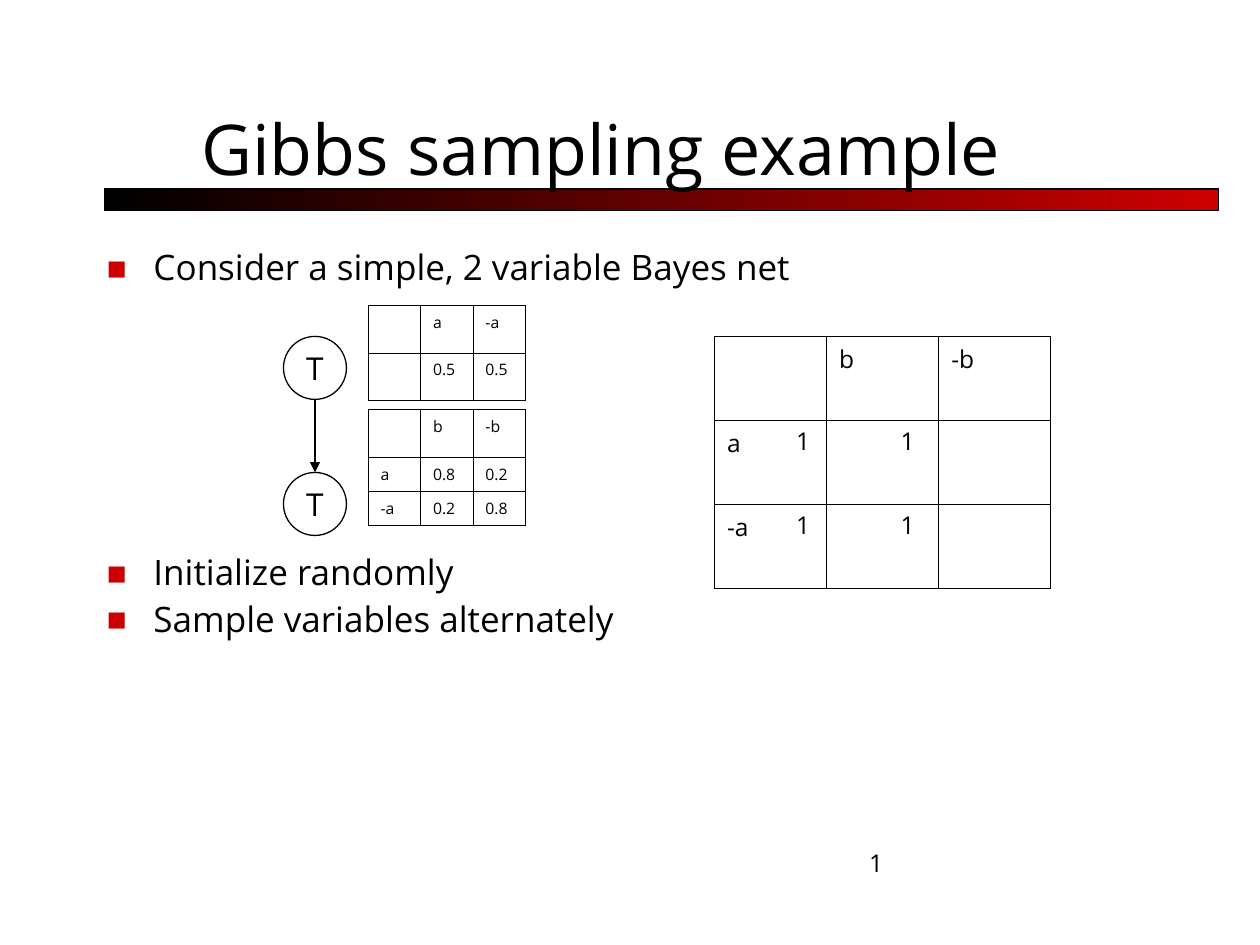
from lxml.etree import SubElement
from pptx import Presentation
from pptx.dml.color import RGBColor
from pptx.enum.shapes import MSO_CONNECTOR, MSO_SHAPE
from pptx.enum.text import MSO_ANCHOR, PP_ALIGN
from pptx.oxml import parse_xml
from pptx.oxml.ns import nsdecls, qn
from pptx.util import Inches, Pt

BLACK = RGBColor(0x00, 0x00, 0x00)
WHITE = RGBColor(0xFF, 0xFF, 0xFF)
RED = RGBColor(0xCC, 0x00, 0x00)


class SlideBuilder:
    font = "Open Sans"
    line_width = Pt(0.75)
    outer_border, inner_border = Pt(0.5), Pt(0.23)

    def __init__(self, slide):
        self.slide = slide

    def style(self, paragraph, size):
        for run in paragraph.runs:
            run.font.name = self.font
            run.font.size = Pt(size)
            run.font.color.rgb = BLACK

    def outline(self, shape):
        shape.line.color.rgb = BLACK
        shape.line.width = self.line_width

    def text(self, left, top, width, height, lines, size, anchor=MSO_ANCHOR.TOP):
        box = self.slide.shapes.add_textbox(
            Inches(left), Inches(top), Inches(width), Inches(height))
        frame = box.text_frame
        frame.word_wrap = True
        frame.vertical_anchor = anchor
        frame.text = "\n".join(lines)
        for paragraph in frame.paragraphs:
            self.style(paragraph, size)
        return frame

    def bullets(self, top, height, lines):
        frame = self.text(0.75, top, 8.5, height, lines, 20)
        for index, paragraph in enumerate(frame.paragraphs):
            paragraph.line_spacing = 0.9
            if index:
                paragraph.space_before = Pt(5)
            props = paragraph._p.get_or_add_pPr()
            props.set("marL", str(Inches(0.37)))
            props.set("indent", str(-Inches(0.37)))
            color = SubElement(props, qn("a:buClr"))
            SubElement(color, qn("a:srgbClr"), val=str(RED))
            SubElement(props, qn("a:buSzPct"), val="60000")
            SubElement(props, qn("a:buFont"), typeface=self.font)
            SubElement(props, qn("a:buChar"), char="■")

    def gradient_bar(self, left, top, width, height):
        bar = self.slide.shapes.add_shape(
            MSO_SHAPE.RECTANGLE, Inches(left), Inches(top), Inches(width), Inches(height))
        bar.shadow.inherit = False
        bar.fill.gradient()
        bar.fill.gradient_angle = 180
        for stop, color in zip(bar.fill.gradient_stops, (RED, BLACK)):
            stop.color.rgb = color
        self.outline(bar)

    def node(self, left, top, diameter, label):
        circle = self.slide.shapes.add_shape(
            MSO_SHAPE.OVAL, Inches(left), Inches(top), Inches(diameter), Inches(diameter))
        circle.shadow.inherit = False
        circle.fill.solid()
        circle.fill.fore_color.rgb = WHITE
        self.outline(circle)
        frame = circle.text_frame
        frame.word_wrap = False
        frame.vertical_anchor = MSO_ANCHOR.MIDDLE
        frame.text = label
        frame.paragraphs[0].alignment = PP_ALIGN.CENTER
        self.style(frame.paragraphs[0], 18)

    def arrow(self, x, top, bottom):
        arrow = self.slide.shapes.add_connector(
            MSO_CONNECTOR.STRAIGHT, Inches(x), Inches(top), Inches(x), Inches(bottom))
        self.outline(arrow)
        SubElement(arrow.line._get_or_add_ln(), qn("a:tailEnd"), type="triangle")
        SubElement(arrow._element.spPr, qn("a:effectLst"))

    def table(self, left, top, width, row_heights, rows, size):
        columns = len(rows[0])
        table = self.slide.shapes.add_table(
            len(rows), columns, Inches(left), Inches(top),
            Inches(width), Inches(sum(row_heights))).table
        table.first_row = table.horz_banding = False
        for column in table.columns:
            column.width = Inches(width / columns)
        for r, (height, values) in enumerate(zip(row_heights, rows)):
            table.rows[r].height = Inches(height)
            for c, value in enumerate(values):
                cell = table.cell(r, c)
                cell.fill.background()
                paragraph = cell.text_frame.paragraphs[0]
                if value:
                    paragraph.text = value
                    paragraph.line_spacing = 0.98
                    self.style(paragraph, size)
                else:
                    # Keeps an empty cell from stretching its row
                    SubElement(paragraph._p, qn("a:endParaRPr"), sz=str(size * 100))
                self.borders(cell, L=c == 0, R=c == columns - 1,
                             T=r == 0, B=r == len(rows) - 1)

    def borders(self, cell, **on_edge):
        props = cell._tc.get_or_add_tcPr()
        for position, (side, outer) in enumerate(on_edge.items()):
            width = self.outer_border if outer else self.inner_border
            props.insert(position, parse_xml(
                f'<a:ln{side} {nsdecls("a")} w="{width}"><a:solidFill>'
                f'<a:srgbClr val="{BLACK}"/></a:solidFill></a:ln{side}>'))


def main():
    prs = Presentation()
    prs.slide_width, prs.slide_height = Inches(10), Inches(7.5)
    builder = SlideBuilder(prs.slides.add_slide(prs.slide_layouts[6]))

    # Heading
    builder.gradient_bar(0.83, 1.5, 8.84, 0.17)
    builder.text(1.5, 0.47, 8.5, 1.08, ["Gibbs sampling example"], 40, MSO_ANCHOR.BOTTOM)

    # Bullets above and below the network
    builder.bullets(1.94, 0.45, ["Consider a simple, 2 variable Bayes net"])
    builder.bullets(4.36, 0.9, ["Initialize randomly", "Sample variables alternately"])

    # Two-node network
    builder.arrow(2.5, 3.17, 3.75)
    for node_top in (2.67, 3.75):
        builder.node(2.25, node_top, 0.5, "T")

    # Probability tables
    builder.table(2.92, 2.42, 1.25, [0.38, 0.38],
                  [["", "a", "-a"], ["", "0.5", "0.5"]], 9)
    builder.table(2.92, 3.25, 1.25, [0.38, 0.27, 0.27],
                  [["", "b", "-b"], ["a", "0.8", "0.2"], ["-a", "0.2", "0.8"]], 9)

    # Sample counts
    builder.table(5.67, 2.67, 2.67, [2 / 3] * 3,
                  [["", "b", "-b"], ["a", "", ""], ["-a", "", ""]], 14)
    for count_top in (3.33, 4):
        for count_left in (6.22, 7.05):
            builder.text(count_left, count_top, 1.06, 0.34, ["1"], 14)

    # Slide number
    builder.text(6.8, 6.68, 1.06, 0.34, ["1"], 14)

    prs.save("out.pptx")


if __name__ == "__main__":
    main()
